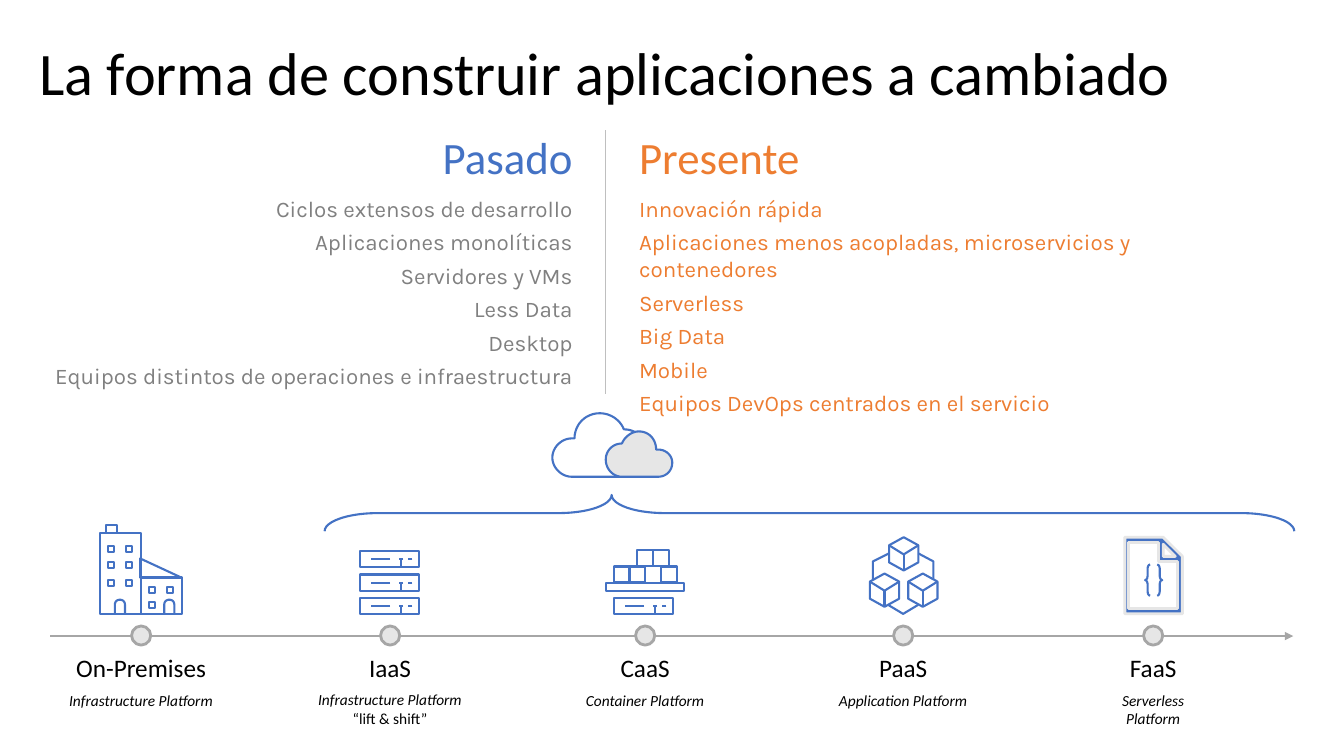
from pptx import Presentation
from pptx.dml.color import RGBColor
from pptx.enum.shapes import MSO_CONNECTOR as Connector, MSO_SHAPE as Shape
from pptx.enum.text import MSO_ANCHOR as Anchor, MSO_AUTO_SIZE as AutoSize, PP_ALIGN as Align
from pptx.oxml.ns import qn
from pptx.util import Cm, Pt
from lxml.etree import SubElement

BLUE = RGBColor(0x44, 0x72, 0xC4)
ORANGE = RGBColor(0xED, 0x7D, 0x31)
BLACK = RGBColor(0, 0, 0)
GRAY = RGBColor(0x80, 0x80, 0x80)
AXIS_GRAY = RGBColor(0xA6, 0xA6, 0xA6)
RULE_GRAY = RGBColor(0xBF, 0xBF, 0xBF)
PALE_GRAY = RGBColor(0xE6, 0xE6, 0xE6)

AXIS_Y = 6.31
MILESTONES = [
    (1.4, 1.84, "On-Premises", ["Infrastructure Platform"]),
    (3.87, 1.84, "IaaS", ["Infrastructure Platform", "“lift & shift”"]),
    (6.4, 1.58, "CaaS", ["Container Platform"]),
    (8.96, 1.68, "PaaS", ["Application Platform"]),
    (11.44, 1.59, "FaaS", ["Serverless Platform"]),
]
PAST = ["Ciclos extensos de desarrollo", "Aplicaciones monolíticas", "Servidores y VMs",
        "Less Data", "Desktop", "Equipos distintos de operaciones e infraestructura"]
PRESENT = ["Innovación rápida", "Aplicaciones menos acopladas, microservicios y contenedores",
           "Serverless", "Big Data", "Mobile", "Equipos DevOps centrados en el servicio"]

DOOR = [(0.1, 0.14), (0.1, 0.05), (0.1, 0.02, 0.08, 0, 0.05, 0),
        (0.02, 0, 0, 0.02, 0, 0.05), (0, 0.14)]
CUBE = [(0, 0.08), (0.145, 0), (0.29, 0.08), (0.29, 0.25), (0.145, 0.33), (0, 0.25)]
CUBE_TOP = [(0.29, 0.08), (0.145, 0.17), (0, 0.08)]
BIG_CLOUD = [(5.7, 4.35), (5.7, 4.21, 5.81, 4.1, 5.95, 4.1), (6.05, 4.1, 6.15, 4.16, 6.19, 4.26),
             (6.32, 4.26, 6.42, 4.36, 6.42, 4.49), (6.42, 4.62, 6.32, 4.73, 6.19, 4.73),
             (5.67, 4.73), (5.57, 4.73, 5.48, 4.64, 5.48, 4.54),
             (5.48, 4.44, 5.57, 4.35, 5.67, 4.35)]
SMALL_CLOUD = [(6.51, 4.46), (6.51, 4.36, 6.44, 4.28, 6.34, 4.28),
               (6.27, 4.28, 6.2, 4.33, 6.17, 4.4), (6.08, 4.4, 6.01, 4.47, 6.01, 4.56),
               (6.01, 4.65, 6.08, 4.73, 6.17, 4.73), (6.53, 4.73),
               (6.61, 4.73, 6.67, 4.67, 6.67, 4.59), (6.67, 4.52, 6.61, 4.46, 6.53, 4.46)]
PAGE = [(11.73, 5.52), (11.54, 5.33), (11.16, 5.33), (11.16, 6.09), (11.73, 6.09)]
PAGE_FOLD = [(11.54, 5.4), (11.66, 5.52), (11.54, 5.52)]
PAGE_INSIDE = [(11.2, 6.04), (11.2, 5.38), (11.49, 5.38), (11.49, 5.57), (11.68, 5.57), (11.68, 6.04)]


def inch(value):
    return Cm(value * 2.54)


def add_paragraph(frame, text, size, color=BLACK, font="Calibri", italic=False,
                  align=Align.LEFT, before=0, after=0, spacing=None):
    first = frame.paragraphs[0]
    paragraph = frame.add_paragraph() if first.runs else first
    paragraph.alignment = align
    paragraph.space_before, paragraph.space_after = Pt(before), Pt(after)
    paragraph.line_spacing = spacing
    run = paragraph.add_run()
    run.text = text
    run.font.size, run.font.name, run.font.italic = Pt(size), font, italic
    run.font.color.rgb = color


def add_text_box(shapes, left, top, width, height, inset_x=0, inset_y=0,
                 wrap=True, grow=True, anchor=Anchor.TOP):
    frame = shapes.add_textbox(inch(left), inch(top), inch(width), inch(height)).text_frame
    frame.margin_left = frame.margin_right = inch(inset_x)
    frame.margin_top = frame.margin_bottom = inch(inset_y)
    frame.word_wrap = wrap
    frame.auto_size = AutoSize.SHAPE_TO_FIT_TEXT if grow else AutoSize.NONE
    frame.vertical_anchor = anchor
    return frame


def style(shape, fill, color, weight):
    shape.shadow.inherit = False
    if fill is None:
        shape.fill.background()
    else:
        shape.fill.solid()
        shape.fill.fore_color.rgb = fill
    shape.line.color.rgb = color
    shape.line.width = Pt(weight)


def add_preset(shapes, kind, left, top, width, height, fill=None, color=BLUE, weight=1.5,
               adjustments=()):
    shape = shapes.add_shape(kind, inch(left), inch(top), inch(width), inch(height))
    style(shape, fill, color, weight)
    for index, value in enumerate(adjustments):
        shape.adjustments[index] = value
    return shape


def add_line(shapes, x1, y1, x2, y2, color=BLUE, weight=1.5, arrow=False):
    line = shapes.add_connector(Connector.STRAIGHT, inch(x1), inch(y1), inch(x2), inch(y2))
    line.line.color.rgb = color
    line.line.width = Pt(weight)
    if arrow:
        SubElement(line.line._get_or_add_ln(), qn("a:tailEnd"), type="triangle")
    SubElement(line._element.spPr, qn("a:effectLst"))


def trace(steps, left, top):
    points = [steps[0]]
    for step in steps[1:]:
        if len(step) == 2:
            points.append(step)
            continue
        controls = [points[-1], step[:2], step[2:4], step[4:]]
        for t in (index / 12 for index in range(1, 13)):
            weights = ((1 - t) ** 3, 3 * t * (1 - t) ** 2, 3 * t * t * (1 - t), t ** 3)
            points.append(tuple(sum(w * c[axis] for w, c in zip(weights, controls))
                                for axis in (0, 1)))
    return [(inch(left + x), inch(top + y)) for x, y in points]


def add_outline(shapes, *contours, left=0, top=0, close=False, fill=None, color=BLUE, weight=1.5):
    builder = None
    for contour in contours:
        start, *rest = trace(contour, left, top)
        if builder is None:
            builder = shapes.build_freeform(*start, scale=1.0)
        else:
            builder.move_to(*start)
        builder.add_line_segments(rest, close=close)
    style(builder.convert_to_shape(), fill, color, weight)


def add_column(shapes, left, top, width, height, heading, items, heading_color, item_color, align):
    frame = add_text_box(shapes, left, top, width, height)
    add_paragraph(frame, heading, 32, color=heading_color, align=align, after=8)
    for index, item in enumerate(items):
        add_paragraph(frame, item, 16, color=item_color, font="Karla", align=align,
                      before=4.7 if index else 0)


def add_milestone(shapes, center, width, name, details):
    frame = add_text_box(shapes, center - width / 2, AXIS_Y, width, 0.71 + 0.18 * len(details),
                         inset_x=0.2, inset_y=0.16, wrap=False)
    add_paragraph(frame, name, 18, align=Align.CENTER, after=5.9)
    for index, detail in enumerate(details):
        add_paragraph(frame, detail, 11, italic=index == 0, align=Align.CENTER)
    add_preset(shapes, Shape.OVAL, center - 0.095, AXIS_Y - 0.1, 0.19, 0.19,
               fill=PALE_GRAY, color=AXIS_GRAY, weight=2)


def add_buildings(shapes):
    blocks = [(0.99, 5.29, 0.41, 0.8), (1.05, 5.21, 0.11, 0.08), (1.4, 5.73, 0.41, 0.36)]
    windows = [(x, y) for y in (5.42, 5.58, 5.75) for x in (1.07, 1.25)]
    windows += [(1.48, 5.82), (1.66, 5.82), (1.48, 5.97)]
    for box in blocks + [(x, y, 0.06, 0.06) for x, y in windows]:
        add_preset(shapes, Shape.RECTANGLE, *box)
    for left in (1.14, 1.63):
        add_outline(shapes, DOOR, left=left, top=5.95)
    add_preset(shapes, Shape.ISOSCELES_TRIANGLE, 1.39, 5.54, 0.41, 0.19, adjustments=[0])


def add_server(shapes, left, top):
    add_preset(shapes, Shape.RECTANGLE, left, top, 0.59, 0.16)
    for start, end in ((0.52, 0.48), (0.43, 0.39), (0.3, 0.11)):
        add_line(shapes, left + start, top + 0.08, left + end, top + 0.08)
    add_line(shapes, left + 0.41, top + 0.16, left + 0.41, top + 0.09)


def add_rack(shapes):
    for index in range(3):
        add_server(shapes, 3.57, 5.47 + 0.23 * index)


def add_containers(shapes):
    add_preset(shapes, Shape.RECTANGLE, 6.01, 5.78, 0.78, 0.08)
    for left, top in ((6.09, 5.62), (6.24, 5.62), (6.4, 5.62), (6.56, 5.62), (6.32, 5.46), (6.48, 5.46)):
        if (left, top) != (6.4, 5.62):
            add_preset(shapes, Shape.RECTANGLE, left, top, 0.16, 0.16)
    add_server(shapes, 6.09, 5.93)


def add_cubes(shapes):
    for left, top in ((9.01, 5.69), (8.63, 5.69), (8.82, 5.33)):
        add_outline(shapes, CUBE, left=left, top=top, close=True)
        add_outline(shapes, CUBE_TOP, left=left, top=top)
        add_line(shapes, left + 0.145, top + 0.16, left + 0.145, top + 0.33)
    for link in ([(9.11, 6), (8.96, 6.09), (8.81, 6)], [(9.11, 5.49), (9.26, 5.57), (9.26, 5.75)],
                 [(8.66, 5.75), (8.66, 5.57), (8.82, 5.49)]):
        add_outline(shapes, link)


def add_function_page(shapes):
    add_outline(shapes, PAGE, PAGE_FOLD, PAGE_INSIDE, close=True, fill=BLUE, color=PALE_GRAY, weight=2)
    for kind, left in ((Shape.RIGHT_BRACE, 11.48), (Shape.LEFT_BRACE, 11.36)):
        add_preset(shapes, kind, left, 5.6, 0.05, 0.31, adjustments=[0.8, 0.5])


def add_clouds(shapes):
    add_outline(shapes, BIG_CLOUD, close=True)
    add_outline(shapes, SMALL_CLOUD, close=True, fill=PALE_GRAY)


def main():
    presentation = Presentation()
    presentation.slide_width, presentation.slide_height = inch(13.333), inch(7.5)
    shapes = presentation.slides.add_slide(presentation.slide_layouts[6]).shapes
    title = add_text_box(shapes, 0.29, 0.26, 12.74, 0.98, inset_x=0.1, inset_y=0.05,
                         grow=False, anchor=Anchor.MIDDLE)
    add_paragraph(title, "La forma de construir aplicaciones a cambiado", 43.1, spacing=0.9)
    add_column(shapes, 0.36, 1.29, 5.32, 2.66, "Pasado", PAST, BLUE, GRAY, Align.RIGHT)
    add_column(shapes, 6.34, 1.29, 6.25, 2.61, "Presente", PRESENT, ORANGE, ORANGE, Align.LEFT)
    add_line(shapes, 6.01, 1.29, 6.01, 3.91, color=RULE_GRAY, weight=0.5)
    brace = add_preset(shapes, Shape.RIGHT_BRACE, 7.85, 0.28, 0.36, 9.62, adjustments=[1.47, 0.296])
    brace.rotation = 270
    for draw in (add_buildings, add_rack, add_containers, add_cubes, add_function_page, add_clouds):
        draw(shapes.add_group_shape().shapes)
    add_line(shapes, 0.5, AXIS_Y, 12.83, AXIS_Y, color=AXIS_GRAY, weight=2, arrow=True)
    for milestone in MILESTONES:
        add_milestone(shapes, *milestone)
    presentation.save("out.pptx")


if __name__ == "__main__":
    main()
